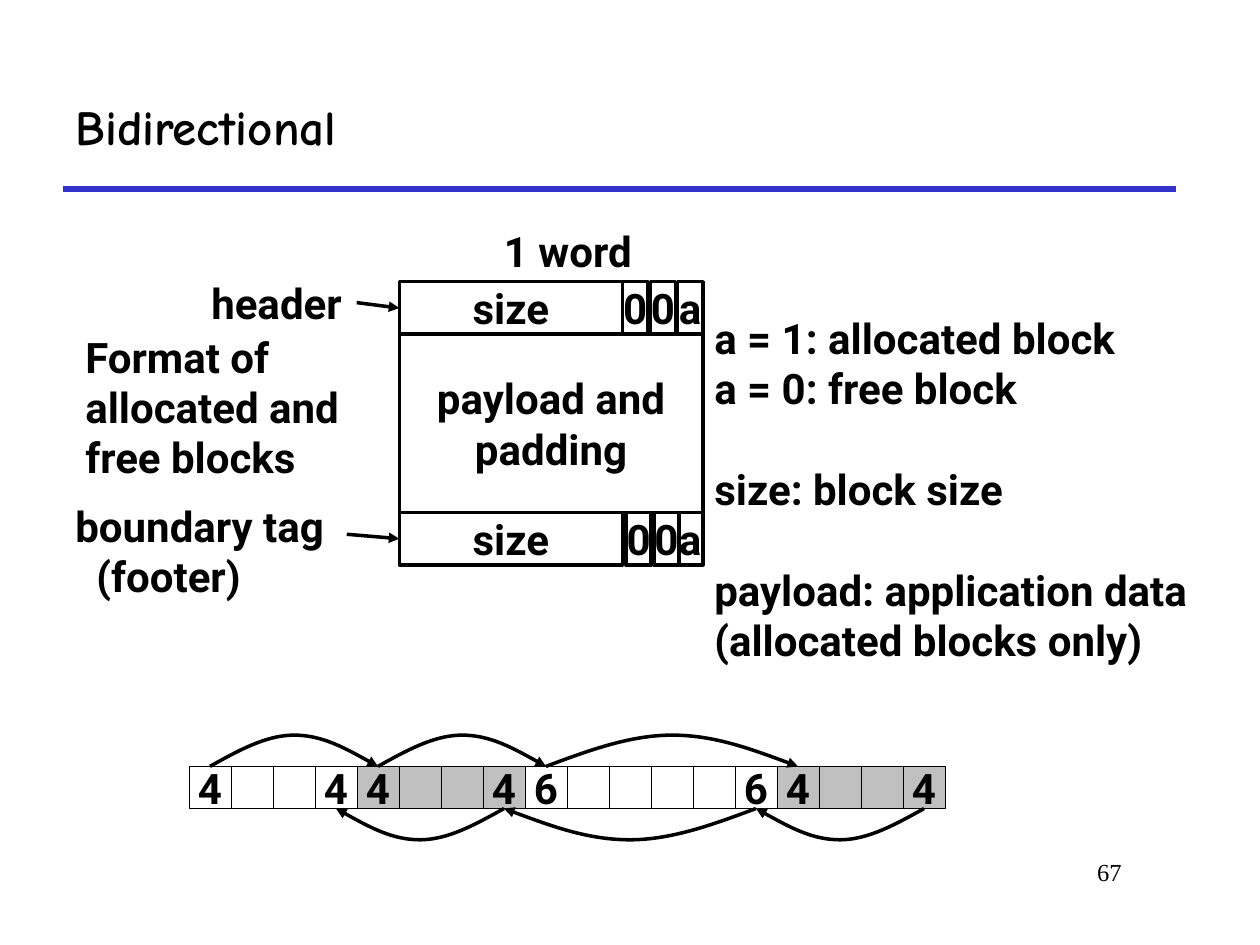
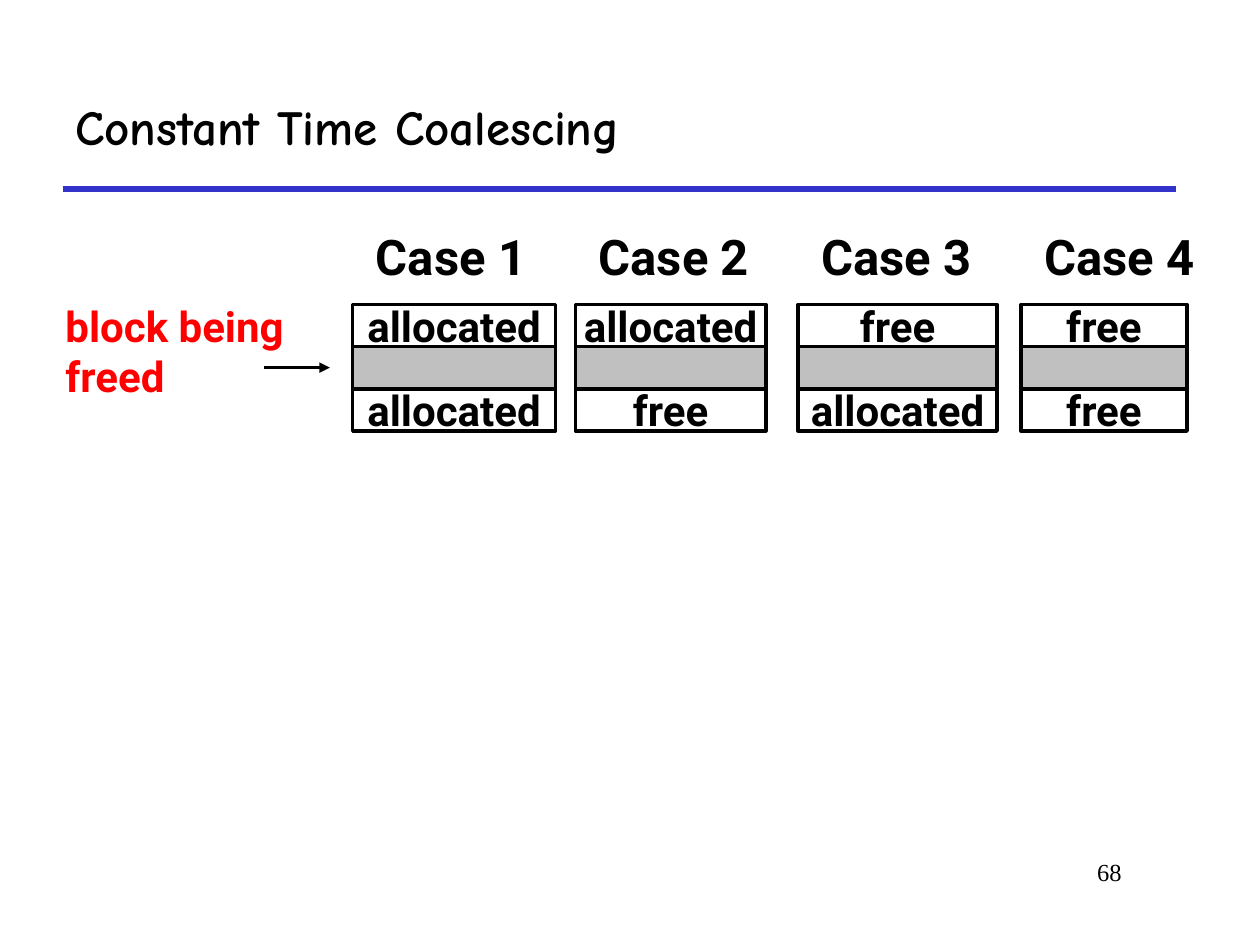
from dataclasses import dataclass

from lxml import etree
from pptx import Presentation
from pptx.dml.color import RGBColor
from pptx.enum.shapes import MSO_CONNECTOR, MSO_SHAPE
from pptx.enum.text import MSO_ANCHOR, PP_ALIGN
from pptx.oxml.ns import qn
from pptx.util import Cm, Pt

RECT = MSO_SHAPE.RECTANGLE
STRAIGHT = MSO_CONNECTOR.STRAIGHT
LEFT, MIDST, RIGHT = PP_ALIGN.LEFT, PP_ALIGN.CENTER, PP_ALIGN.RIGHT
TOP, MIDDLE = MSO_ANCHOR.TOP, MSO_ANCHOR.MIDDLE
WEST = 1


@dataclass(frozen=True)
class Theme:
    """Hold the colours, fonts, type sizes and line widths."""
    ink: RGBColor = RGBColor(0x00, 0x00, 0x00)
    paper: RGBColor = RGBColor(0xFF, 0xFF, 0xFF)
    gray: RGBColor = RGBColor(0xC0, 0xC0, 0xC0)
    blue: RGBColor = RGBColor(0x33, 0x33, 0xCC)
    red: RGBColor = RGBColor(0xFF, 0x00, 0x00)
    head: str = "Comic Neue"
    body: str = "Roboto"
    foot: str = "Times New Roman"
    large: float = 28
    text: float = 24
    small: float = 14
    gap: float = 28.8
    rule: float = 3
    line: float = 2
    hair: float = 0.25


THEME = Theme()


def style(frame, text, size=THEME.text, font=THEME.body, color=THEME.ink,
          bold=True, align=LEFT, anchor=TOP):
    """Fill a text frame and format all its runs."""
    frame.text = text
    frame.vertical_anchor = anchor
    for para in frame.paragraphs:
        para.alignment = align
        for run in para.runs:
            run.font.size = Pt(size)
            run.font.name = font
            run.font.bold = bold
            run.font.color.rgb = color


def add_text(slide, text, x, y, w, h, **look):
    """Add a wrapping text box and return its paragraphs."""
    frame = slide.shapes.add_textbox(Cm(x), Cm(y), Cm(w), Cm(h)).text_frame
    frame.word_wrap = True
    style(frame, text, **look)
    return frame.paragraphs


def add_cell(slide, text, x, y, w, h, fill=THEME.paper, width=THEME.line):
    """Add an outlined rectangle with centred text."""
    cell = slide.shapes.add_shape(RECT, Cm(x), Cm(y), Cm(w), Cm(h))
    cell.shadow.inherit = False
    cell.fill.solid()
    cell.fill.fore_color.rgb = fill
    cell.line.color.rgb = THEME.ink
    cell.line.width = Pt(width)
    if text:
        frame = cell.text_frame
        frame.word_wrap = False
        frame.margin_left = frame.margin_right = 0
        frame.margin_top = frame.margin_bottom = 0
        style(frame, text, align=MIDST, anchor=MIDDLE)
    return cell


def add_head(shape):
    """Put a triangle at the end of a line."""
    line = shape.element.spPr.find(qn("a:ln"))
    etree.SubElement(line, qn("a:tailEnd"), type="triangle")


def add_line(slide, x1, y1, x2, y2, color=THEME.ink, width=THEME.line):
    """Add a straight line without a shadow."""
    line = slide.shapes.add_connector(STRAIGHT, Cm(x1), Cm(y1), Cm(x2), Cm(y2))
    line.line.color.rgb = color
    line.line.width = Pt(width)
    etree.SubElement(line.element.spPr, qn("a:effectLst"))
    return line


def add_arrow(slide, x1, y1, x2, y2, box=None):
    """Add a straight arrow, joined to the left side of a box if given."""
    arrow = add_line(slide, x1, y1, x2, y2)
    add_head(arrow)
    if box is not None:
        arrow.end_connect(box, WEST)


def add_hop(slide, x1, x2, y, rise):
    """Add a curved arrow between two points at the same height."""
    lifts = (0.5, 1, 1, 1, 0.5, 0)
    points = [(Cm(x1 + (x2 - x1) * step / 6), Cm(y - rise * lift))
              for step, lift in enumerate(lifts, 1)]
    pen = slide.shapes.build_freeform(Cm(x1), Cm(y))
    pen.add_line_segments(points, close=False)
    hop = pen.convert_to_shape()
    parts = hop.element.findall(".//" + qn("a:lnTo"))
    for first, second, third in (parts[:3], parts[3:]):
        for part in (second, third):
            first.append(part[0])
            part.getparent().remove(part)
        first.tag = qn("a:cubicBezTo")
    hop.shadow.inherit = False
    hop.fill.background()
    hop.line.color.rgb = THEME.ink
    hop.line.width = Pt(THEME.line)
    add_head(hop)


def add_slide(deck, title, number):
    """Add a slide with its title, rule and page number."""
    slide = deck.slides.add_slide(deck.slide_layouts[6])
    add_line(slide, 1.27, 3.81, 23.7, 3.81, THEME.blue, THEME.rule)
    add_text(slide, title, 1.27, 1.27, 22.43, 2.54, size=THEME.large,
             font=THEME.head, anchor=MIDDLE)
    add_text(slide, str(number), 19.25, 17.15, 3.61, 1.27, size=THEME.small,
             font=THEME.foot, bold=False, align=RIGHT)
    return slide


def add_tag(slide, y, bits):
    """Add a row with the size and three flag bits, and return its size cell."""
    size = add_cell(slide, "size", 8.05, y, 4.5, 1.06)
    for text, x in zip("a00", bits):
        add_cell(slide, text, x, y, 0.51, 1.06)
    return size


def add_strip(slide, blocks):
    """Add a row of memory words with hops between neighbouring blocks."""
    left, top, high, rise = 3.81, 15.45, 0.85, 0.63
    side = 15.24 / sum(blocks)
    firsts, lasts, start = [], [], 0
    for order, count in enumerate(blocks):
        fill = THEME.gray if order % 2 else THEME.paper
        for word in range(count):
            text = str(count) if word in (0, count - 1) else ""
            add_cell(slide, text, left + (start + word) * side, top, side,
                     high, fill, THEME.hair)
        firsts.append(left + (start + 0.5) * side)
        start += count
        lasts.append(left + (start - 0.5) * side)
    for here, after in zip(firsts, firsts[1:]):
        add_hop(slide, here, after, top, rise)
    for here, after in zip(lasts, lasts[1:]):
        add_hop(slide, after, here, top + high, -rise)


def add_case(slide, number, x, w, above, below):
    """Add one case: a label over three stacked blocks."""
    add_text(slide, f"Case {number}", x + 0.22, 4.45, 3.96, 1.45,
             size=THEME.large)
    top, high = 6.14, 0.85
    add_cell(slide, "", x, top + high, w, high, THEME.gray)
    add_cell(slide, above, x, top, w, high)
    add_cell(slide, below, x, top + 2 * high, w, high)


def draw_tags(deck):
    """Draw the block format with boundary tags."""
    slide = add_slide(deck, "Bidirectional", 67)
    add_strip(slide, (4, 4, 6, 4))
    add_text(slide, "1 word", 9.91, 4.42, 3.25, 1.3)
    add_text(slide, "header", 4.01, 5.46, 3.33, 1.3)
    add_text(slide, "Format of\nallocated and\nfree blocks",
             1.47, 6.55, 5.97, 3.33)
    notes = add_text(slide, "a = 1: allocated block\na = 0: free block\n"
                     "size: block size\npayload: application data\n"
                     "(allocated blocks only)", 14.15, 6.17, 10.77, 8.46)
    for para in notes[2:4]:
        para.space_before = Pt(THEME.gap)
    label = add_text(slide, "boundary tag\n(footer)", 1.27, 9.96, 5.92, 2.31)
    label[1]._p.get_or_add_pPr().set("marL", str(Pt(12)))

    add_cell(slide, "payload and\npadding", 8.05, 6.74, 6.12, 3.59)
    header = add_tag(slide, 5.68, (13.66, 13.11, 12.55))
    footer = add_tag(slide, 10.33, (13.66, 13.18, 12.62))
    add_arrow(slide, 7.19, 6.1, 8.05, 6.15, header)
    add_arrow(slide, 6.99, 10.77, 8.05, 10.8, footer)


def draw_cases(deck):
    """Draw the four cases of coalescing."""
    slide = add_slide(deck, "Constant Time Coalescing", 68)
    cases = ((4.09, "allocated", "allocated"), (3.84, "allocated", "free"),
             (4.01, "free", "allocated"), (3.35, "free", "free"))
    for order, (w, above, below) in enumerate(cases):
        add_case(slide, order + 1, 7.11 + 4.49 * order, w, above, below)
    add_text(slide, "block being\nfreed", 1.07, 5.93, 5.56, 2.31,
             color=THEME.red)
    add_arrow(slide, 5.33, 7.41, 6.65, 7.41)


def main():
    """Build and save the deck."""
    deck = Presentation()
    deck.slide_width, deck.slide_height = Cm(25.4), Cm(19.05)
    draw_tags(deck)
    draw_cases(deck)
    deck.save("out.pptx")


if __name__ == "__main__":
    main()
